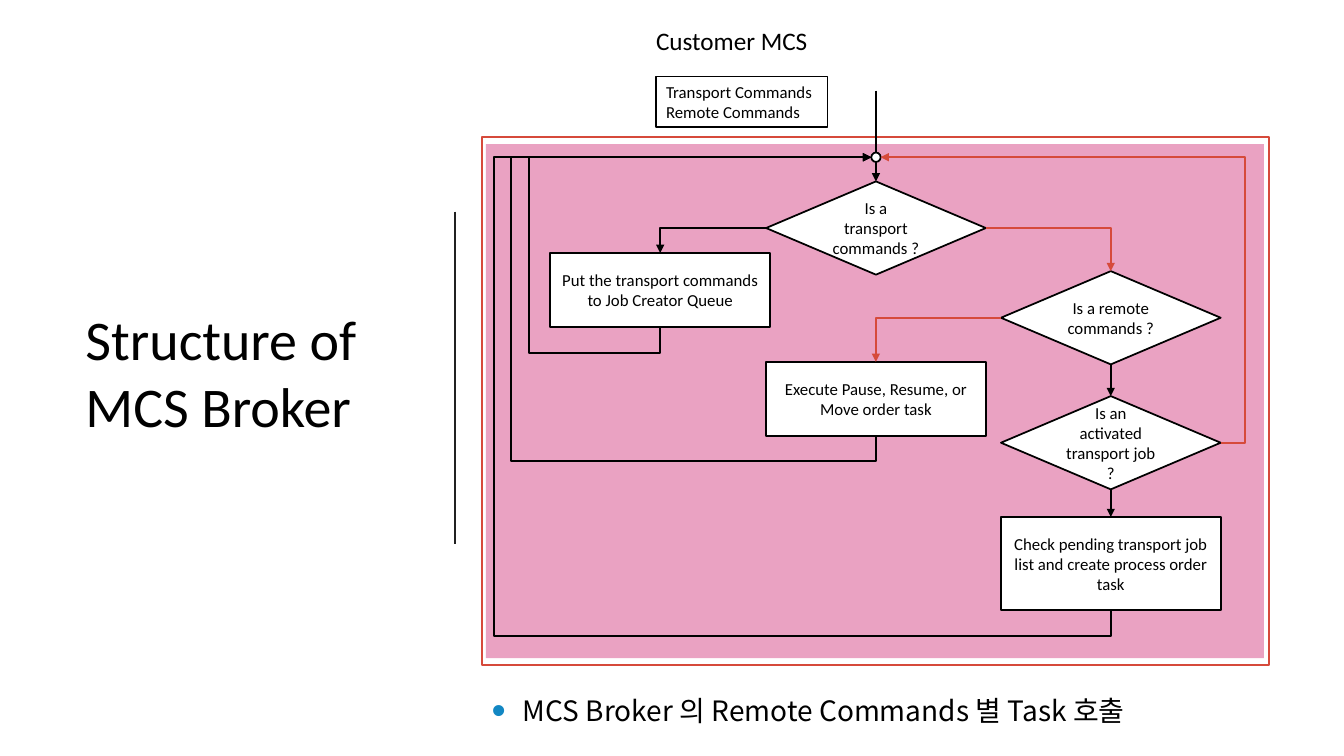
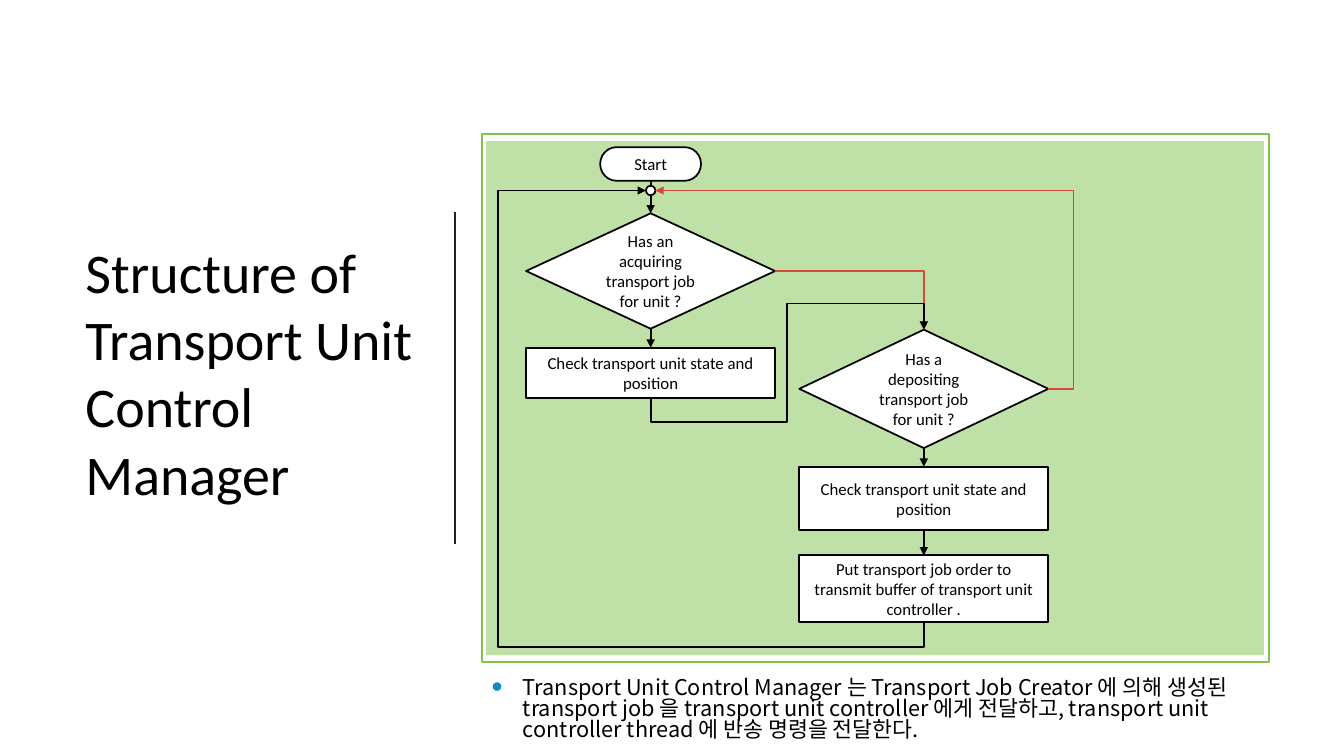
import pptx
import pptx.util
import pptx.oxml
import pptx.oxml.ns
import pptx.dml.color
import pptx.enum.shapes
import pptx.enum.text
from lxml import etree

COLORS = {"white": "FFFFFF", "black": "000000", "divider": "212121", "bullet": "1287C3",
          "red": "D64A3B", "pink": "D64787", "green": "80C34F"}
LATIN, KOREAN = "Calibri", "Noto Sans CJK KR"

# Grid of square cells: 80 columns by 45 rows
COLUMNS, ROWS = 80, 45
SLIDE_WIDTH, SLIDE_HEIGHT = pptx.util.Inches(13.333), pptx.util.Inches(7.5)
TOP, LEFT, BOTTOM, RIGHT = range(4)
SHAPES = pptx.enum.shapes.MSO_SHAPE
LINES = pptx.enum.shapes.MSO_CONNECTOR
ALIGN = pptx.enum.text.PP_ALIGN
ANCHOR = pptx.enum.text.MSO_ANCHOR


def across(columns):
    return round(SLIDE_WIDTH * columns / COLUMNS)


def down(rows):
    return round(SLIDE_HEIGHT * rows / ROWS)


def color(name):
    return pptx.dml.color.RGBColor.from_string(COLORS[name])


def add_child(parent, tag, **attributes):
    child = etree.SubElement(parent, pptx.oxml.ns.qn(tag))
    for name, value in attributes.items():
        child.set(name, str(value))
    return child


# Text
def write(shape, text, size=12, font=LATIN, align=ALIGN.LEFT, anchor=ANCHOR.TOP,
          wrap=True, bullet=False, spacing=None):
    frame = shape.text_frame
    frame.word_wrap = wrap
    frame.vertical_anchor = anchor
    frame.text = text
    for paragraph in frame.paragraphs:
        paragraph.alignment = align
        if spacing:
            paragraph.line_spacing = spacing
        for run in paragraph.runs:
            run.font.size = pptx.util.Pt(size)
            run.font.name = font
            run.font.color.rgb = color("black")
            add_child(run.font._element, "a:ea", typeface=font)
        if bullet:
            paragraph.space_before = pptx.util.Pt(size * 0.2)
            paragraph.space_after = pptx.util.Pt(6)
            add_bullet(paragraph)


def add_bullet(paragraph):
    properties = paragraph._p.get_or_add_pPr()
    indent = pptx.util.Inches(0.31)
    properties.set("marL", str(indent))
    properties.set("indent", str(-indent))
    add_child(add_child(properties, "a:buClr"), "a:srgbClr", val=COLORS["bullet"])
    add_child(properties, "a:buSzPct", val=145000)
    add_child(properties, "a:buFont", typeface="Arial")
    add_child(properties, "a:buChar", char="•")


def add_text(slide, text, x, y, width, height, **text_format):
    box = slide.shapes.add_textbox(across(x), down(y), across(width), down(height))
    write(box, text, **text_format)


# Shapes
def add_box(slide, kind, x, y, width, height, fill="white", line="black", alpha=None):
    shape = slide.shapes.add_shape(kind, across(x), down(y), across(width), down(height))
    shape.shadow.inherit = False
    shape.fill.solid()
    shape.fill.fore_color.rgb = color(fill)
    if alpha:
        add_child(shape.element.spPr.find(".//" + pptx.oxml.ns.qn("a:srgbClr")),
                  "a:alpha", val=alpha * 1000)
    if line:
        shape.line.color.rgb = color(line)
        shape.line.width = pptx.util.Pt(1.25)
    else:
        shape.line.fill.background()
    return shape


def add_step(slide, text, center, y, width, height, kind=SHAPES.FLOWCHART_PROCESS):
    step = add_box(slide, kind, center - width / 2, y, width, height)
    write(step, text, align=ALIGN.CENTER, anchor=ANCHOR.MIDDLE)
    return step


def add_decision(slide, text, center, y, width, height):
    return add_step(slide, text, center, y, width, height, SHAPES.FLOWCHART_DECISION)


def add_junction(slide, center, middle, size=0.56):
    return add_box(slide, SHAPES.FLOWCHART_CONNECTOR, center - size / 2, middle - size / 2,
                   size, size)


def add_panel(slide, y, tint, line):
    add_box(slide, SHAPES.RECTANGLE, 28.68, y, 46.86, 31.44, line=line)
    add_box(slide, SHAPES.RECTANGLE, 28.92, y + 0.42, 46.32, 30.6, fill=tint, line=None,
            alpha=50)


# Lines and arrows
def style_line(connector, line="black", weight=1.25, arrow=True):
    connector.line.color.rgb = color(line)
    connector.line.width = pptx.util.Pt(weight)
    if arrow:
        add_child(connector.line._get_or_add_ln(), "a:tailEnd", type="triangle")
    add_child(connector.element.spPr, "a:effectLst")


def add_vertical(slide, x, top, bottom, **line_format):
    connector = slide.shapes.add_connector(LINES.STRAIGHT, across(x), down(top),
                                           across(x), down(bottom))
    style_line(connector, **line_format)
    return connector


def join(slide, source, source_side, target, target_side, bends=None, **line_format):
    """Glue two shapes; bends holds the bend positions, taken in turn along each axis."""
    kind = LINES.STRAIGHT if bends is None else LINES.ELBOW
    connector = slide.shapes.add_connector(kind, 0, 0, 0, 0)
    connector.begin_connect(source, source_side)
    connector.end_connect(target, target_side)
    if target.auto_shape_type == SHAPES.FLOWCHART_CONNECTOR:
        # A circle has eight connection sites
        connector.element.xpath(".//a:endCxn")[0].set("idx", str(target_side * 2))
    if bends is not None:
        bend(connector, source_side in (TOP, BOTTOM), bends)
    style_line(connector, **line_format)


def bend(connector, starts_vertical, bends):
    begin = connector.begin_x, connector.begin_y
    end = connector.end_x, connector.end_y
    geometry = connector.element.spPr.find(pptx.oxml.ns.qn("a:prstGeom"))
    geometry.set("prst", f"bentConnector{len(bends) + 2}")
    guides = geometry.find(pptx.oxml.ns.qn("a:avLst"))
    if guides is None:
        guides = add_child(geometry, "a:avLst")
    for index, position in enumerate(bends):
        axis = (index + starts_vertical) % 2
        distance = (across, down)[axis](position) - begin[axis]
        share = round(100000 * distance / (end[axis] - begin[axis]))
        name = "adj" if len(bends) == 1 else f"adj{index + 1}"
        add_child(guides, "a:gd", name=name if len(bends) > 1 else "adj1",
                  fmla=f"val {share}")
    if starts_vertical:
        # Quarter turn about the centre
        run, rise = end[0] - begin[0], end[1] - begin[1]
        center, middle = (begin[0] + end[0]) / 2, (begin[1] + end[1]) / 2
        connector.begin_x = round(center - rise / 2)
        connector.begin_y = round(middle + run / 2)
        connector.end_x = round(center + rise / 2)
        connector.end_y = round(middle - run / 2)
        connector.element.spPr.xfrm.set("rot", str(90 * 60000))


# Slides
def add_slide(presentation, title, note, note_size, note_spacing=None):
    slide = presentation.slides.add_slide(presentation.slide_layouts[6])
    slide.background.fill.solid()
    slide.background.fill.fore_color.rgb = color("white")
    add_text(slide, title, 4.5, 5.04, 20.82, 34.2, size=40, anchor=ANCHOR.MIDDLE)
    add_vertical(slide, 27.06, 12.6, 32.4, line="divider", weight=1.5, arrow=False)
    add_text(slide, note, 28.68, 39.96, 46.5, 4.62, size=note_size, font=KOREAN,
             anchor=ANCHOR.MIDDLE, bullet=True, spacing=note_spacing)
    return slide


def add_broker_slide(presentation):
    slide = add_slide(presentation, "Structure of MCS Broker",
                      "MCS Broker 의 Remote Commands 별 Task 호출", 20)
    add_panel(slide, 8.16, "pink", "red")
    add_text(slide, "Customer MCS", 38.46, 1.2, 10.62, 2.4, size=18, wrap=False)
    commands = add_box(slide, SHAPES.RECTANGLE, 39.06, 4.56, 10.2, 3)
    write(commands, "Transport Commands\nRemote Commands")

    # Steps in three columns
    first, second, third = 39.3, 52.14, 66.12
    width, low, high = 13.08, 4.41, 5.55
    is_transport = add_decision(slide, "Is a transport commands ?", second, 10.8, width, high)
    queue = add_step(slide, "Put the transport commands to Job Creator Queue",
                     first, 15.06, width, low)
    is_remote = add_decision(slide, "Is a remote commands ?", third, 16.14, width, high)
    execute = add_step(slide, "Execute Pause, Resume, or Move order task",
                       second, 21.54, width, low)
    is_active = add_decision(slide, "Is an activated transport job ?",
                             third, 23.58, width, high)
    pending = add_step(slide, "Check pending transport job list and create process order task",
                       third, 30.78, width, high)
    entry = add_vertical(slide, second, 5.4, 10.8)
    entry.end_connect(is_transport, TOP)
    junction = add_junction(slide, second, 9.36)

    # Forward flow
    join(slide, is_transport, LEFT, queue, TOP, (), weight=1.75)
    join(slide, is_transport, RIGHT, is_remote, TOP, (), line="red")
    join(slide, is_remote, LEFT, execute, TOP, (), line="red")
    join(slide, is_remote, BOTTOM, is_active, TOP)
    join(slide, is_active, BOTTOM, pending, TOP, weight=1.75)

    # Loops back to the junction
    for step, row, column in ((queue, 21, 31.5), (execute, 27.42, 30.48),
                              (pending, 37.86, 29.4)):
        join(slide, step, BOTTOM, junction, LEFT, (row, column))
    join(slide, is_active, RIGHT, junction, RIGHT, (74.1,), line="red")


def add_manager_slide(presentation):
    slide = add_slide(presentation, "Structure of Transport Unit Control Manager",
                      "Transport Unit Control Manager 는 Transport Job Creator 에 의해 생성된 "
                      "transport job 을 transport unit controller 에게 전달하고, transport unit "
                      "controller thread 에 반송 명령을 전달한다.", 15.5, 0.82)
    add_panel(slide, 7.98, "green", "green")

    # Steps in two columns
    first, second, width = 38.73, 54.99, 14.82
    check = "Check transport unit state and position"
    start = add_step(slide, "Start", first, 8.76, 6, 2, SHAPES.FLOWCHART_TERMINATOR)
    acquiring = add_decision(slide, "Has an acquiring transport job for unit ?",
                             first, 12.7, width, 6.87)
    acquiring_check = add_step(slide, check, first, 20.7, width, 3)
    depositing = add_decision(slide, "Has a depositing transport job for unit ?",
                              second, 19.62, width, 7.05)
    depositing_check = add_step(slide, check, second, 27.78, width, 3.78)
    put_order = add_step(slide, "Put transport job order to transmit buffer of transport unit "
                         "controller .", second, 33.06, width, 3.96)
    join(slide, start, BOTTOM, acquiring, TOP)
    junction = add_junction(slide, first, 11.34)

    # Forward flow
    join(slide, acquiring, BOTTOM, acquiring_check, TOP)
    join(slide, acquiring, RIGHT, depositing, TOP, (), line="red")
    join(slide, acquiring_check, BOTTOM, depositing, TOP, (25.14, 46.86, 18.06))
    join(slide, depositing, BOTTOM, depositing_check, TOP)
    join(slide, depositing_check, BOTTOM, put_order, TOP)

    # Loops back to the junction
    join(slide, depositing, RIGHT, junction, RIGHT, (63.9,), line="red")
    join(slide, put_order, BOTTOM, junction, LEFT, (38.52, 29.64))


def main():
    presentation = pptx.Presentation()
    presentation.slide_width, presentation.slide_height = SLIDE_WIDTH, SLIDE_HEIGHT
    add_broker_slide(presentation)
    add_manager_slide(presentation)
    presentation.save("out.pptx")


main()
